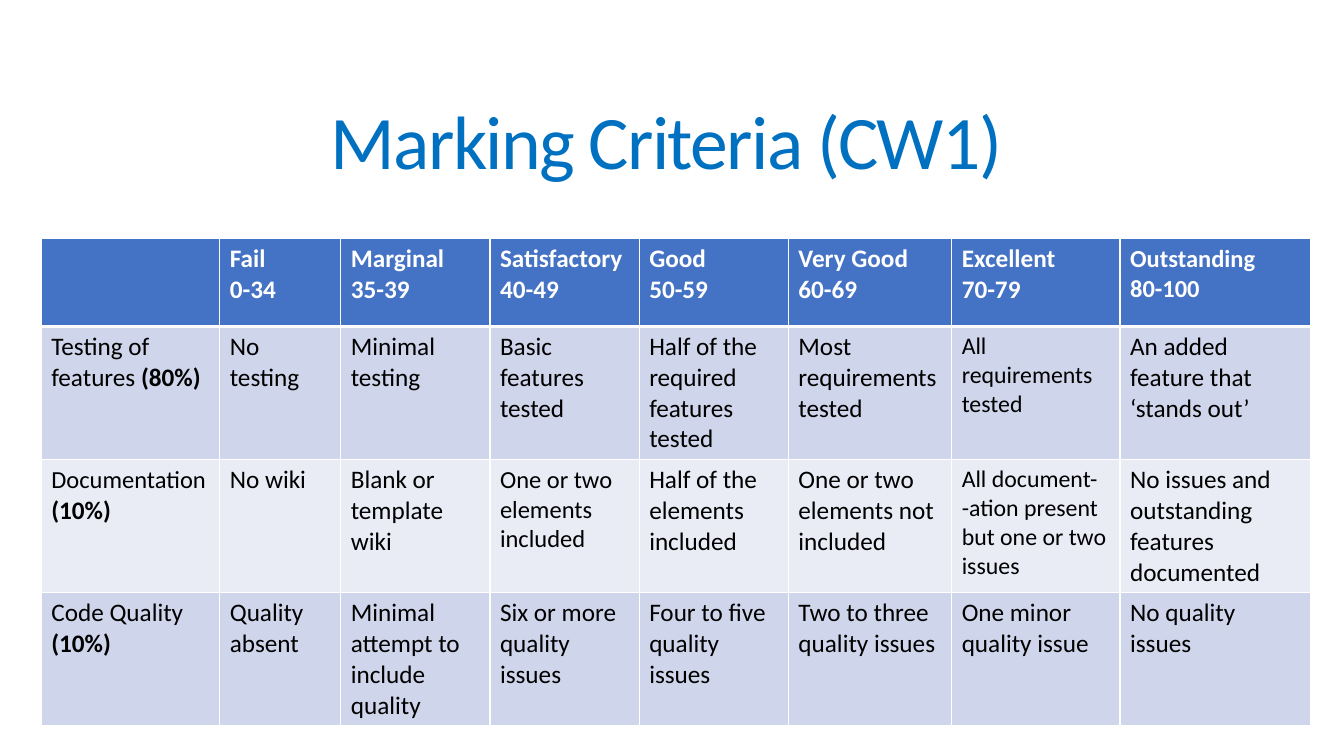
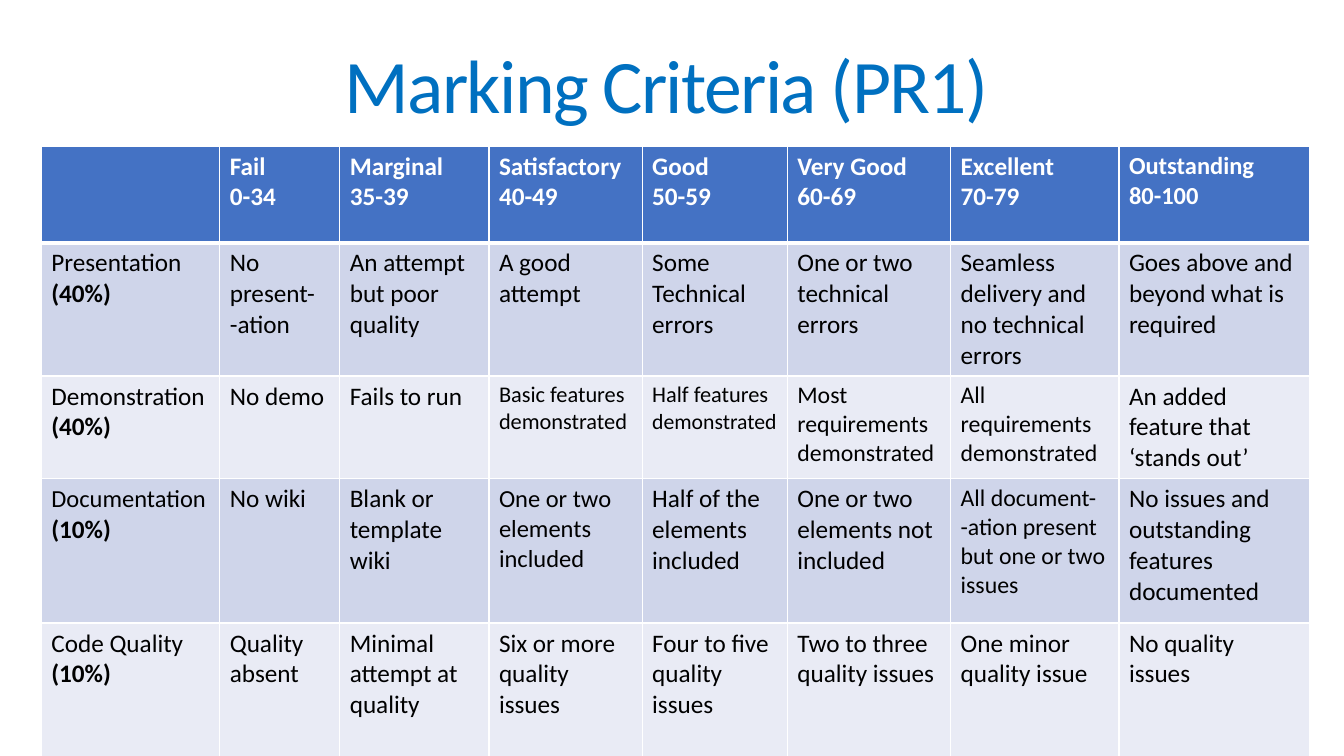
from lxml import etree
from pptx import Presentation
from pptx.dml.color import RGBColor
from pptx.enum import text
from pptx.oxml import ns
from pptx.util import Inches, Pt

FONT = "Calibri"
TITLE_BLUE = RGBColor(0x00, 0x70, 0xC0)
HEADER_BLUE = RGBColor(0x44, 0x72, 0xC4)
BAND_DARK = RGBColor(0xCF, 0xD5, 0xEA)
BAND_LIGHT = RGBColor(0xE9, 0xEB, 0xF5)
WHITE = RGBColor(0xFF, 0xFF, 0xFF)
BLACK = RGBColor(0x00, 0x00, 0x00)

TEXT_SIZE = 18
# Texts set below the normal size so that they fit their column
TIGHT_SIZES = {
    "Outstanding": 17.5,
    "80-100": 17.5,
    "Documentation": 17.5,
    "One or two elements included": 17.5,
    "All requirements tested": 17,
    "All document- -ation present but one or two issues": 17,
    "Most requirements demonstrated": 17,
    "All requirements demonstrated": 17,
    "Basic features demonstrated": 16,
    "Half features ": 16,
    "demonstrated": 15.5,
}

GRADES = [
    ("Fail", "0-34"), ("Marginal", "35-39"), ("Satisfactory", "40-49"), ("Good", "50-59"),
    ("Very Good", "60-69"), ("Excellent", "70-79"), ("Outstanding", "80-100"),
]

# A cell is one text, or a tuple of runs
DOCUMENTATION = [
    ("Documentation", " ", "(10%)"), "No wiki", "Blank or template wiki",
    "One or two elements included", "Half of the elements included",
    "One or two elements not included",
    "All document- -ation present but one or two issues",
    "No issues and outstanding features documented",
]
CODE_QUALITY_START = [("Code Quality ", "(10%)"), "Quality absent"]
CODE_QUALITY_END = [
    "Six or more quality issues", "Four to five quality issues",
    "Two to three quality issues", "One minor quality issue", "No quality issues",
]

CRITERIA_SLIDES = [
    {
        "title": "Marking Criteria (CW1)",
        "title_top": 0.55,
        "table_top": 2.37,
        "columns": [1.77, 1.2, 1.48, 1.48, 1.48, 1.62, 1.67, 1.89],
        "heights": [0.87, 1.32, 1.32, 1.32],
        "criteria": [
            [("Testing of features ", "(80%)"), "No testing", "Minimal testing",
             "Basic features tested", "Half of the required features tested",
             "Most requirements tested", "All requirements tested",
             "An added feature that ‘stands out’"],
            DOCUMENTATION,
            [*CODE_QUALITY_START, "Minimal attempt to include quality", *CODE_QUALITY_END],
        ],
    },
    {
        "title": "Marking Criteria (PR1)",
        "title_top": -0.01,
        "table_top": 1.45,
        "columns": [1.77, 1.19, 1.48, 1.52, 1.44, 1.62, 1.67, 1.89],
        "heights": [0.96, 1.32, 1.02, 1.43, 1.43],
        "criteria": [
            [("Presentation", " (40%)"), "No present- -ation", "An attempt but poor quality",
             "A good attempt", "Some Technical errors", "One or two technical errors",
             "Seamless delivery and no technical errors",
             "Goes above and beyond what is required"],
            [("Demonstration ", "(40%)"), "No demo", "Fails to run",
             "Basic features demonstrated", ("Half features ", "demonstrated"),
             "Most requirements demonstrated", "All requirements demonstrated",
             "An added feature that ‘stands out’"],
            DOCUMENTATION,
            [*CODE_QUALITY_START, "Minimal attempt at quality", *CODE_QUALITY_END],
        ],
    },
]


def style_cell(cell, fill_color, top_width, bottom_width):
    """Give a cell white borders (widths in points) and a solid fill."""
    properties = cell._tc.get_or_add_tcPr()
    for side, width in (("L", 1), ("R", 1), ("T", top_width), ("B", bottom_width)):
        line = etree.SubElement(properties, ns.qn(f"a:ln{side}"), w=str(Pt(width)))
        line_fill = etree.SubElement(line, ns.qn("a:solidFill"))
        etree.SubElement(line_fill, ns.qn("a:srgbClr"), val=str(WHITE))
    cell.fill.solid()
    cell.fill.fore_color.rgb = fill_color


def add_cell_run(paragraph, words, color, bold):
    run = paragraph.add_run()
    run.text = words
    run.font.name = FONT
    run.font.size = Pt(TIGHT_SIZES.get(words, TEXT_SIZE))
    run.font.bold = bold
    run.font.color.rgb = color


presentation = Presentation()
presentation.slide_width = Inches(13.33)
presentation.slide_height = Inches(7.5)
title_only = presentation.slide_layouts[5]

for content in CRITERIA_SLIDES:
    slide = presentation.slides.add_slide(title_only)

    title = slide.shapes.title
    title.left, title.top = Inches(0.72), Inches(content["title_top"])
    title.width, title.height = Inches(11.78), Inches(1.81)
    title.text_frame.auto_size = text.MSO_AUTO_SIZE.NONE
    title.text_frame.vertical_anchor = text.MSO_ANCHOR.MIDDLE
    paragraph = title.text_frame.paragraphs[0]
    paragraph.alignment = text.PP_ALIGN.CENTER
    paragraph.line_spacing = 0.85
    run = paragraph.add_run()
    run.text = content["title"]
    run.font.name = FONT
    run.font.size = Pt(54)
    run.font.color.rgb = TITLE_BLUE
    run.font._element.set("spc", "-120")

    columns, heights = content["columns"], content["heights"]
    table = slide.shapes.add_table(
        len(heights), len(columns), Inches(0.41), Inches(content["table_top"]),
        Inches(sum(columns)), Inches(sum(heights)),
    ).table
    for column, width in zip(table.columns, columns):
        column.width = Inches(width)
    for row, height in zip(table.rows, heights):
        row.height = Inches(height)

    for cell in table.rows[0].cells:
        style_cell(cell, HEADER_BLUE, 1, 3)
    for column_index, (grade, marks) in enumerate(GRADES, start=1):
        frame = table.cell(0, column_index).text_frame
        add_cell_run(frame.paragraphs[0], grade, WHITE, True)
        add_cell_run(frame.add_paragraph(), marks, WHITE, True)

    for row_index, criterion in enumerate(content["criteria"], start=1):
        band = BAND_DARK if row_index % 2 else BAND_LIGHT
        for column_index, entry in enumerate(criterion):
            cell = table.cell(row_index, column_index)
            style_cell(cell, band, 3 if row_index == 1 else 1, 1)
            for words in (entry,) if isinstance(entry, str) else entry:
                is_weight = words.endswith("%)")
                add_cell_run(cell.text_frame.paragraphs[0], words, BLACK, is_weight)

presentation.save("out.pptx")
